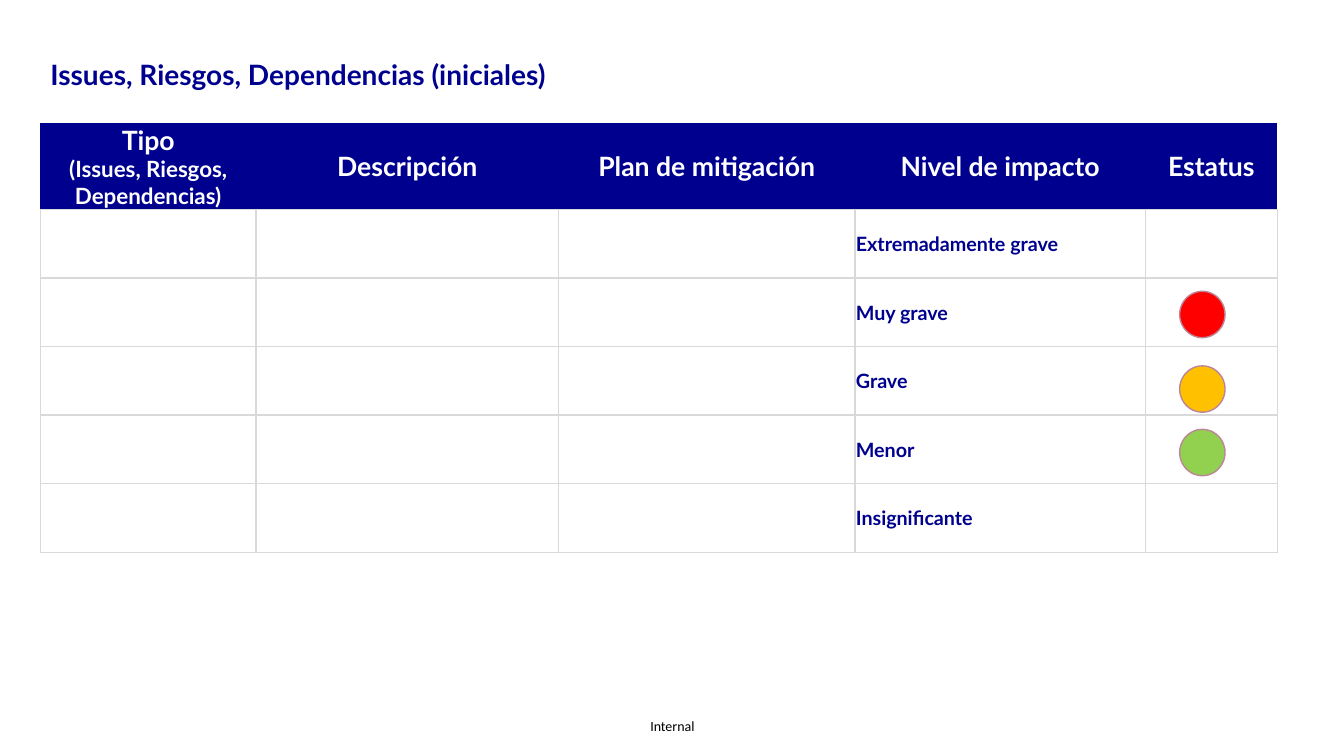
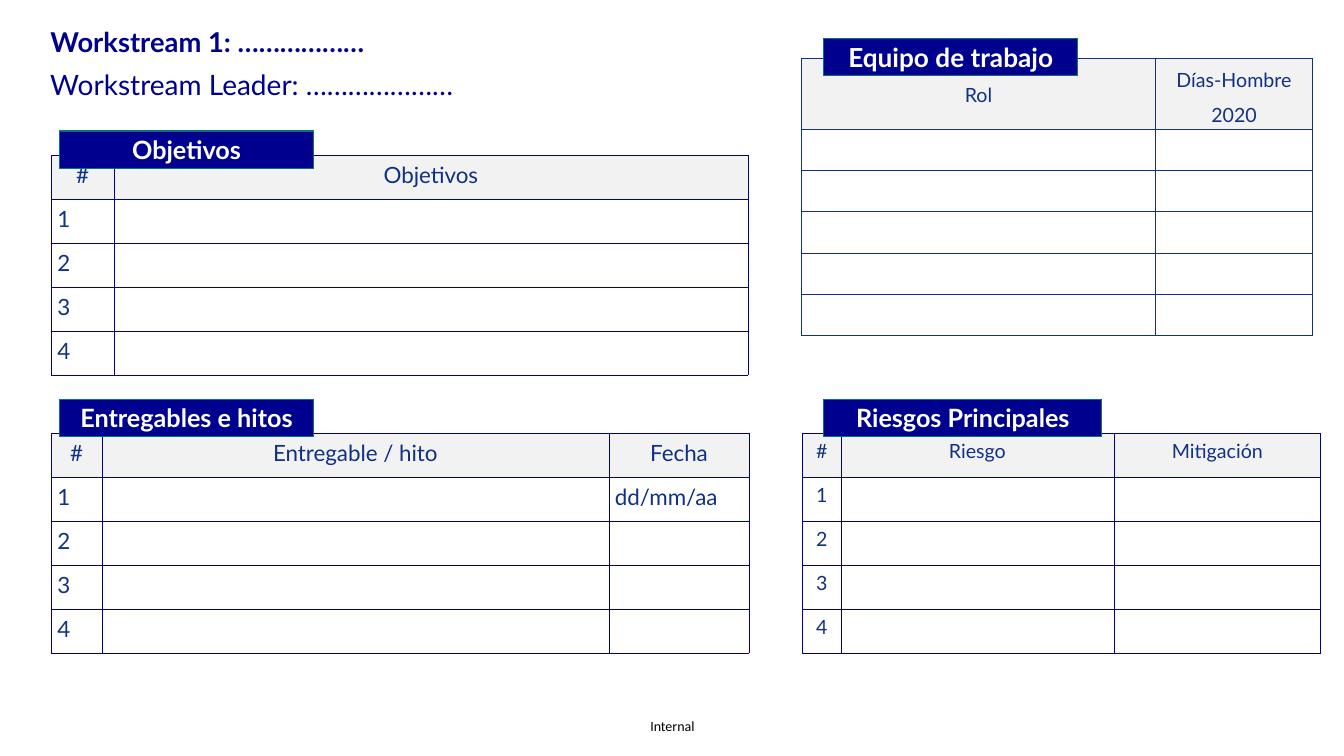
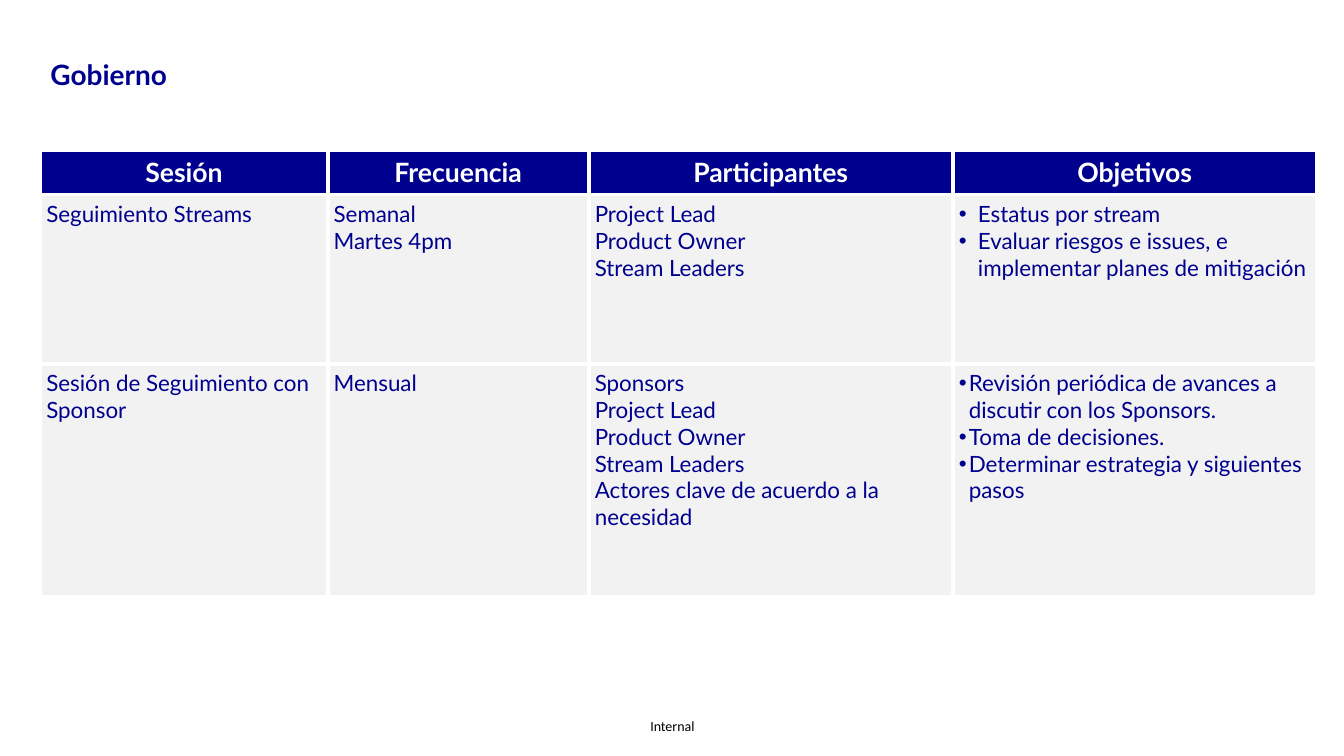
"""Build three project-kickoff slides: risks, workstream sheet and governance."""
from lxml.etree import SubElement
from pptx import Presentation
from pptx.dml.color import RGBColor
from pptx.enum.shapes import MSO_SHAPE as Shape
from pptx.enum.text import MSO_ANCHOR as Anchor, MSO_AUTO_SIZE as AutoSize, PP_ALIGN as Align
from pptx.oxml.ns import qn
from pptx.util import Inches, Pt

NAVY = RGBColor(0x00, 0x00, 0x8F)
INK = RGBColor(0x10, 0x31, 0x84)
WHITE = RGBColor(0xFF, 0xFF, 0xFF)
BLACK = RGBColor(0x00, 0x00, 0x00)
PALE = RGBColor(0xF2, 0xF2, 0xF2)
GRID = RGBColor(0xD9, 0xD9, 0xD9)
TEAL = RGBColor(0x02, 0x71, 0x80)
MAUVE = RGBColor(0xBD, 0x85, 0x98)
RED = RGBColor(0xFF, 0x00, 0x00)
AMBER = RGBColor(0xFF, 0xC0, 0x00)
GREEN = RGBColor(0x92, 0xD0, 0x50)
FONT = "Lato"


def set_font(paragraph, size, color, bold=False, align=Align.LEFT):
    """Apply the deck font to a paragraph."""
    paragraph.alignment = align
    paragraph.font.name = FONT
    paragraph.font.size = Pt(size)
    paragraph.font.bold = bold
    paragraph.font.color.rgb = color


def draw_table(page, left, top, widths, heights, rows, border, weight, head_fill, head_size,
               body_size, body_color, body_fill=None, body_bold=False, body_align=Align.LEFT,
               margins=(0.06, 0.06), anchor=Anchor.TOP, head_rows=1):
    """Add a bordered table with a filled heading and return it."""
    table = page.shapes.add_table(len(heights), len(widths), Inches(left), Inches(top),
                                  Inches(sum(widths)), Inches(sum(heights))).table
    table.first_row = table.horz_banding = False
    for column, width in zip(table.columns, widths):
        column.width = Inches(width)
    for row_index, height in enumerate(heights):
        table.rows[row_index].height = Inches(height)
        heading = row_index < head_rows
        texts = rows[row_index] if row_index < len(rows) else ()
        for column_index in range(len(widths)):
            cell = table.cell(row_index, column_index)
            cell.margin_left = cell.margin_right = cell.margin_top = Inches(margins[0])
            cell.margin_bottom = Inches(margins[1])
            cell.vertical_anchor = anchor
            for edge in ("a:lnL", "a:lnR", "a:lnT", "a:lnB"):
                line = SubElement(cell._tc.get_or_add_tcPr(), qn(edge), w=str(Pt(weight)))
                paint = SubElement(line, qn("a:solidFill"))
                SubElement(paint, qn("a:srgbClr"), val=str(border))
            fill = head_fill if heading else body_fill
            if fill is None:
                cell.fill.background()
            else:
                cell.fill.solid()
                cell.fill.fore_color.rgb = fill
            if column_index < len(texts):
                cell.text = texts[column_index]
            for para in cell.text_frame.paragraphs:
                if heading:
                    dark = head_fill == NAVY
                    set_font(para, head_size, WHITE if dark else INK, dark, Align.CENTER)
                else:
                    set_font(para, body_size, body_color, body_bold, body_align)
    return table


deck = Presentation()
deck.slide_width = Inches(13.33)
deck.slide_height = Inches(7.5)
layout = deck.slide_layouts[5]

pages = []
for heading, top, size in (("Issues, Riesgos, Dependencias (iniciales)", 0.47, 20),
                           ("Workstream 1: ………………", 0.14, 19.5),
                           ("Gobierno", 0.47, 20)):
    page = deck.slides.add_slide(layout)
    title = page.shapes.title
    title.left, title.top, title.width, title.height = map(Inches, (0.4, top, 12.53, 0.49))
    title.text_frame.text = heading
    title.text_frame.auto_size = AutoSize.NONE
    title.text_frame.vertical_anchor = Anchor.BOTTOM
    para = title.text_frame.paragraphs[0]
    para.line_spacing = 0.9
    set_font(para, size, NAVY, True)
    pages.append(page)
risks, workstream, governance = pages

footer = risks.shapes.add_textbox(Inches(6.45), Inches(7.12), Inches(0.47), Inches(0.17))
frame = footer.text_frame
frame.margin_left = frame.margin_right = frame.margin_top = frame.margin_bottom = 0
frame.text = "Internal"
set_font(frame.paragraphs[0], 10, BLACK)
frame.paragraphs[0].font.name = "Calibri"
footer.element.nvSpPr.cNvPr.set("id", "20")
layout.shapes.element.append(footer.element)

levels = ["Extremadamente grave", "Muy grave", "Grave", "Menor", "Insignificante"]
table = draw_table(
    risks, 0.4, 1.22, [2.14, 3, 2.94, 2.88, 1.31], [0.84] + [0.68] * 5,
    [["Tipo\n(Issues, Riesgos, Dependencias)", "Descripción", "Plan de mitigación",
      "Nivel de impacto", "Estatus"]] + [["", "", "", level] for level in levels],
    GRID, 1, NAVY, 19, 14.1, NAVY, body_bold=True, margins=(0.01, 0), anchor=Anchor.MIDDLE)
table.cell(0, 0).text_frame.paragraphs[1].font.size = Pt(16)
hidden_edges = [(table.cell(0, column), edge) for column in range(5)
                for edge in ("a:lnL", "a:lnR", "a:lnT")]

for top, color in ((4.26, GREEN), (3.63, AMBER), (2.89, RED)):
    light = risks.shapes.add_shape(Shape.OVAL, Inches(11.7), Inches(top), Inches(0.45), Inches(0.46))
    light.shadow.inherit = False
    light.fill.solid()
    light.fill.fore_color.rgb = color
    light.line.color.rgb = MAUVE
    light.line.width = Pt(1)

box = workstream.shapes.add_textbox(Inches(0.4), Inches(0.66), Inches(12.53), Inches(0.37))
box.text_frame.word_wrap = True
box.text_frame.text = "Workstream Leader: …………………"
para = box.text_frame.paragraphs[0]
para.line_spacing = 0.9
set_font(para, 20, NAVY)

numbers = [["1"], ["2"], ["3"], ["4"]]
five_rows = [2.18 / 5] * 5
draw_table(workstream, 0.51, 1.54, [0.62, 6.29], five_rows, [["#", "Objetivos"]] + numbers,
           NAVY, 0.5, PALE, 16, 16, INK)
team = draw_table(workstream, 7.95, 0.58, [3.51, 1.56], [0.41, 0.29] + [0.41] * 5,
                  [["Rol", "Días-Hombre"], ["", "2020"]], INK, 0.5, PALE, 14, 14, INK,
                  margins=(0.02, 0), anchor=Anchor.MIDDLE, head_rows=2)
team.cell(0, 0).merge(team.cell(1, 0))
hidden_edges += [(team.cell(0, 1), "a:lnB"), (team.cell(1, 1), "a:lnT")]
draw_table(workstream, 0.51, 4.3, [0.5, 5.03, 1.39], five_rows,
           [["#", "Entregable / hito", "Fecha"], ["1", "", "dd/mm/aa"]] + numbers[1:],
           NAVY, 0.5, PALE, 16, 16, INK)
draw_table(workstream, 7.96, 4.3, [0.38, 2.71, 2.05], five_rows,
           [["#", "Riesgo", "Mitigación"]] + numbers,
           NAVY, 0.5, PALE, 14, 14, INK, body_align=Align.CENTER)

for cell, edge in hidden_edges:
    line = cell._tc.tcPr.find(qn(edge))
    line.clear()
    SubElement(line, qn("a:noFill"))

for text, left, top, width, size in (("Objetivos", 0.59, 1.3, 2.52, 18),
                                     ("Riesgos Principales", 8.17, 3.96, 2.76, 18),
                                     ("Equipo de trabajo", 8.17, 0.38, 2.52, 18.7),
                                     ("Entregables e hitos", 0.59, 3.96, 2.52, 18)):
    label = workstream.shapes.add_shape(Shape.RECTANGLE, Inches(left), Inches(top),
                                        Inches(width), Inches(0.37))
    label.shadow.inherit = False
    label.fill.solid()
    label.fill.fore_color.rgb = NAVY
    label.line.color.rgb = TEAL
    label.line.width = Pt(0.75)
    label.text_frame.text = text
    label.text_frame.vertical_anchor = Anchor.MIDDLE
    set_font(label.text_frame.paragraphs[0], size, WHITE, True, Align.CENTER)

sessions = draw_table(
    governance, 0.4, 1.49, [2.85, 2.59, 3.61, 3.61], [0.44, 1.68, 2.31],
    [["Sesión", "Frecuencia", "Participantes", "Objetivos"],
     ["Seguimiento Streams", "Semanal\nMartes 4pm", "Project Lead\nProduct Owner\nStream Leaders",
      "Estatus por stream\nEvaluar riesgos e issues, e implementar planes de mitigación"],
     ["Sesión de Seguimiento con Sponsor", "Mensual",
      "Sponsors\nProject Lead\nProduct Owner\nStream Leaders\n"
      "Actores clave de acuerdo a la necesidad",
      "Revisión periódica de avances a discutir con los Sponsors.\nToma de decisiones.\n"
      "Determinar estrategia y siguientes pasos"]],
    WHITE, 3, NAVY, 19, 16, NAVY, body_fill=PALE)
for row, indent in ((1, 0.19), (2, 0.1)):
    for para in sessions.cell(row, 3).text_frame.paragraphs:
        properties = para._p.get_or_add_pPr()
        properties.set("marL", str(Inches(indent)))
        properties.set("indent", str(-Inches(indent)))
        bullet = SubElement(properties, qn("a:buChar"), char="•")
        properties.insert(0, bullet)
        typeface = SubElement(properties, qn("a:buFont"), typeface="Arial")
        properties.insert(0, typeface)

deck.save("out.pptx")
